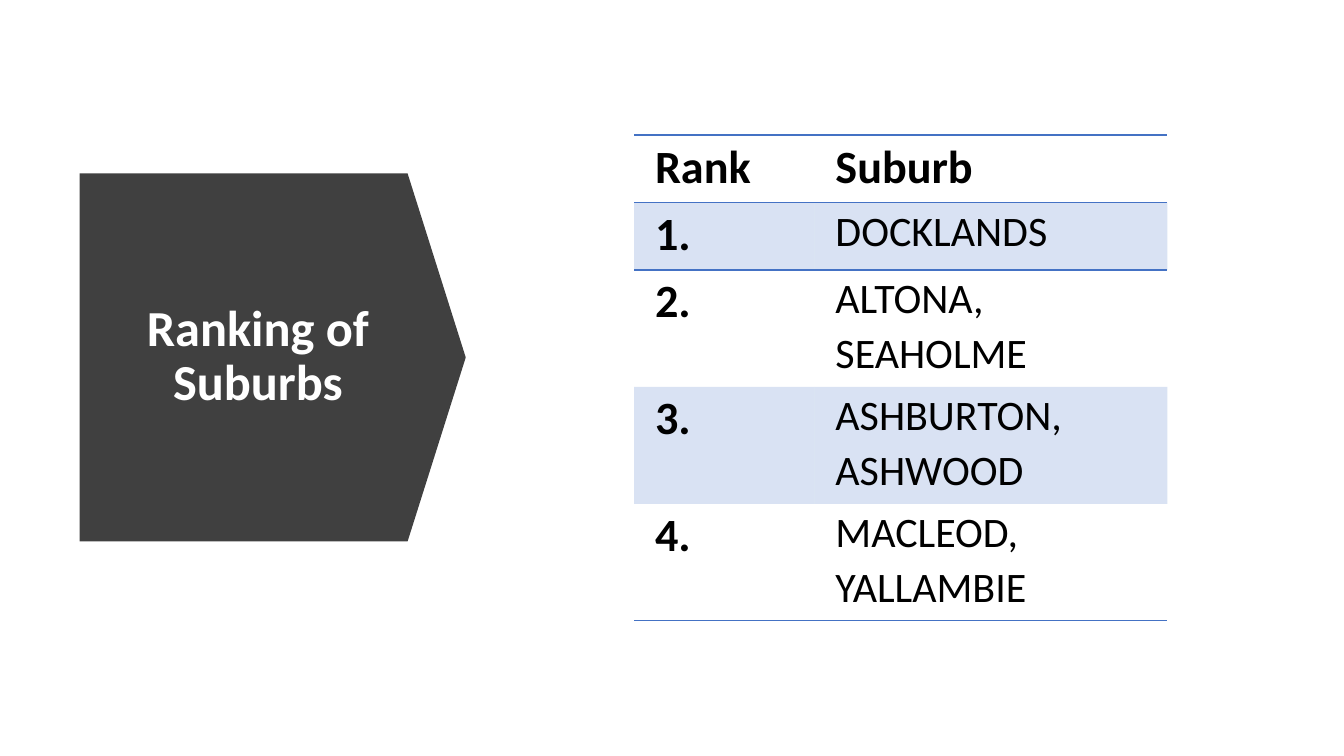
from lxml.etree import SubElement
from pptx import Presentation
from pptx.dml.color import RGBColor
from pptx.enum.shapes import MSO_SHAPE as Shape
from pptx.enum.text import MSO_ANCHOR as Anchor, MSO_AUTO_SIZE as AutoSize, PP_ALIGN as Align
from pptx.oxml.ns import qn
from pptx.util import Pt

COLORS = {"arrow": "404040", "accent": "4472C4", "title": "FFFFFF", "text": "000000"}
NO_GRID_STYLE = "{2D5ABB26-0587-4C30-8999-92F81FD0307C}"
RANKING = [
    ("Rank", "Suburb"),
    ("1.", "DOCKLANDS"),
    ("2.", "ALTONA, SEAHOLME"),
    ("3.", "ASHBURTON, ASHWOOD"),
    ("4.", "MACLEOD, YALLAMBIE"),
]
COLUMN_WIDTHS = [128.9, 252]
ROW_HEIGHTS = [48.2, 48.2, 83.5, 83.5, 83.5]


def assign(target, values):
    for name, value in values.items():
        setattr(target, name, value)


class RankingSlide:
    font = "Calibri"

    def __init__(self, deck):
        self.slide = deck.slides.add_slide(deck.slide_layouts[5])
        self.shapes = self.slide.shapes

    def color(self, key):
        return RGBColor.from_string(COLORS[key])

    def words(self, frame, words, size, bold, color, **layout):
        frame.text = words
        paragraph = frame.paragraphs[0]
        assign(paragraph, layout)
        font = paragraph.runs[0].font
        assign(font, {"name": self.font, "size": Pt(size), "bold": bold})
        font.color.rgb = self.color(color)

    def arrow(self, left, top, width, height):
        arrow = self.shapes.add_shape(Shape.DOWN_ARROW, Pt(left), Pt(top), Pt(width), Pt(height))
        arrow.rotation = 270
        arrow.adjustments[0], arrow.adjustments[1] = 1, 0.158
        arrow.shadow.inherit = False
        arrow.fill.solid()
        arrow.fill.fore_color.rgb = self.color("arrow")
        arrow.line.fill.background()

    def title(self, words, left, top, width, height):
        title = self.shapes.title
        assign(title, {"left": Pt(left), "top": Pt(top), "width": Pt(width), "height": Pt(height)})
        frame = title.text_frame
        assign(frame, {"word_wrap": True, "auto_size": AutoSize.NONE, "vertical_anchor": Anchor.MIDDLE})
        self.words(frame, words, 36, True, "title", alignment=Align.CENTER, line_spacing=0.9)
        self.shapes._spTree.append(title._element)

    def table(self, rows, widths, heights, left, top):
        frame = self.shapes.add_table(
            len(rows), len(widths), Pt(left), Pt(top), Pt(sum(widths)), Pt(sum(heights)))
        table = frame.table
        assign(table, {"first_row": False, "horz_banding": False})
        table._tbl.tblPr.find(qn("a:tableStyleId")).text = NO_GRID_STYLE
        for column, width in zip(table.columns, widths):
            column.width = Pt(width)
        for index, (row, height, entries) in enumerate(zip(table.rows, heights, rows)):
            row.height = Pt(height)
            sides = {0: ("lnT", "lnB"), 1: ("lnT",), len(rows) - 1: ("lnB",)}.get(index, ())
            for position, (cell, words) in enumerate(zip(row.cells, entries)):
                strong = index == 0 or position == 0
                self.cell(cell, words, strong, index % 2 == 1, sides)

    def cell(self, cell, words, strong, banded, sides):
        assign(cell, {"margin_left": Pt(15), "margin_right": Pt(15), "margin_top": 0,
                      "margin_bottom": 0, "vertical_anchor": Anchor.TOP})
        self.words(cell.text_frame, words, 33 if strong else 30, strong, "text", line_spacing=1.07)
        properties = cell._tc.get_or_add_tcPr()
        for side in sides:
            border = SubElement(properties, qn(f"a:{side}"), w=str(int(Pt(1))))
            solid = SubElement(border, qn("a:solidFill"))
            SubElement(solid, qn("a:srgbClr"), val=COLORS["accent"])
        if banded:
            solid = SubElement(properties, qn("a:solidFill"))
            tint = SubElement(solid, qn("a:srgbClr"), val=COLORS["accent"])
            SubElement(tint, qn("a:alpha"), val="20000")
        else:
            SubElement(properties, qn("a:noFill"))


def main():
    deck = Presentation()
    assign(deck, {"slide_width": Pt(960), "slide_height": Pt(540)})
    page = RankingSlide(deck)
    page.arrow(63.4, 117.4, 262.8, 275.8)
    page.title("Ranking of Suburbs", 80.6, 154.8, 207.4, 200.9)
    page.table(RANKING, COLUMN_WIDTHS, ROW_HEIGHTS, 452.9, 96.5)
    deck.save("out.pptx")


if __name__ == "__main__":
    main()
